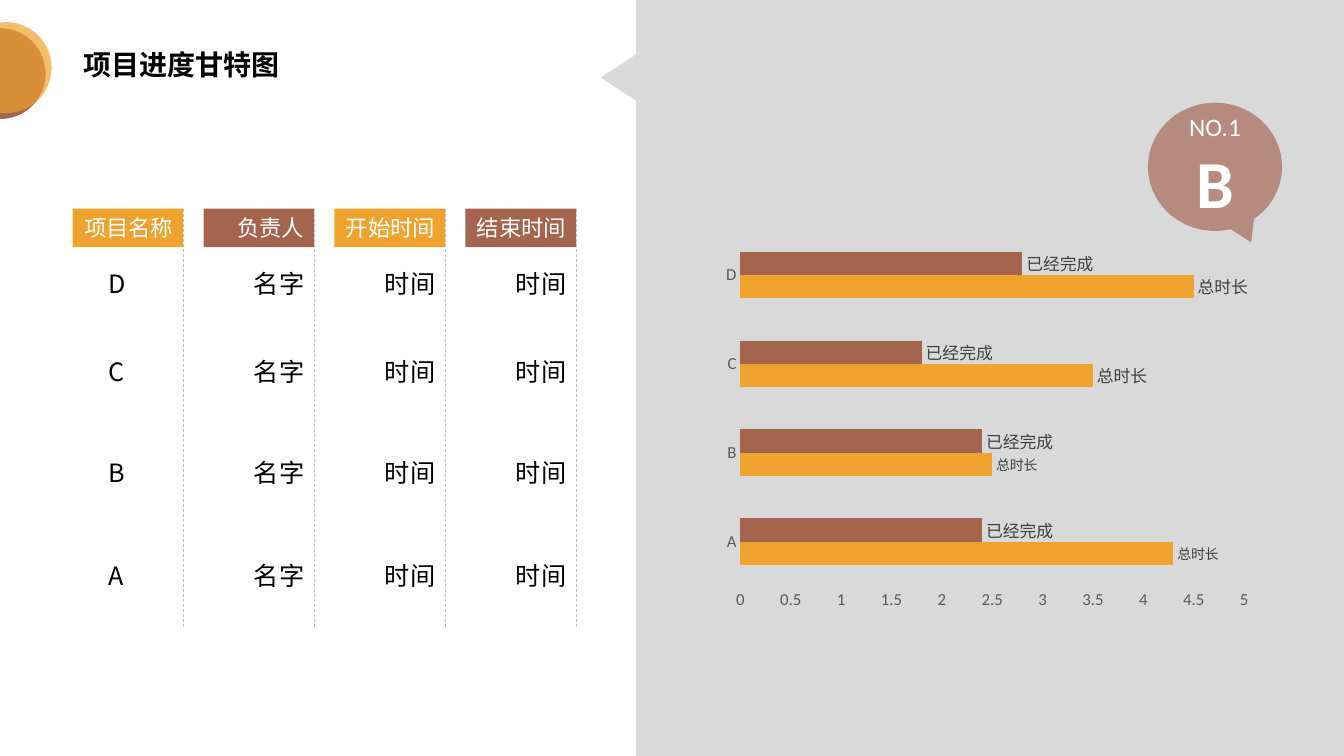
from dataclasses import dataclass

from lxml.etree import SubElement
from pptx import Presentation
from pptx.chart.data import CategoryChartData
from pptx.dml.color import RGBColor
from pptx.enum.chart import XL_CHART_TYPE, XL_LABEL_POSITION, XL_TICK_MARK
from pptx.enum.dml import MSO_LINE
from pptx.enum.shapes import MSO_CONNECTOR, MSO_SHAPE
from pptx.enum.text import MSO_ANCHOR, PP_ALIGN
from pptx.oxml import parse_xml
from pptx.oxml.ns import nsdecls, qn
from pptx.util import Cm, Pt

CJK, LATIN = "Noto Sans CJK SC", "Calibri"
ORANGE, BROWN, GREY, WHITE, BLACK = "F0A22E", "A5644E", "D9D9D9", "FFFFFF", "000000"
AXIS_TEXT, LABEL_TEXT = "595959", "404040"

COLUMN_LEFT, COLUMN_STEP, COLUMN_WIDTH = 1.83, 3.3, 2.79
HEADER_TOP, HEADER_HEIGHT, DIVIDER_BOTTOM = 5.26, 0.97, 15.82
ROW_TOPS = (6.63, 8.86, 11.4, 14.0)
CELL_INDENT, CELL_WIDTH, CELL_HEIGHT = 0.66, 2.13, 1.03


@dataclass
class Column:
    heading: str
    color: str
    cells: list[str]
    align: PP_ALIGN = PP_ALIGN.RIGHT


@dataclass
class Bars:
    name: str
    color: str
    values: list[float]
    label_sizes: list[int]


COLUMNS = [
    Column("项目名称", ORANGE, ["D", "C", "B", "A"], PP_ALIGN.LEFT),
    Column("负责人", BROWN, ["名字"] * 4),
    Column("开始时间", ORANGE, ["时间"] * 4),
    Column("结束时间", BROWN, ["时间"] * 4),
]
BARS = [
    Bars("总时长", ORANGE, [4.3, 2.5, 3.5, 4.5], [10, 10, 12, 12]),
    Bars("已经完成", BROWN, [2.4, 2.4, 1.8, 2.8], [12] * 4),
]


def rgb(color: str) -> RGBColor:
    return RGBColor.from_string(color)


def write(para, text: str, size=18, color=BLACK, font=CJK, bold=False, align=None) -> None:
    span = para.add_run()
    span.text = text
    span.font.size, span.font.bold, span.font.name = Pt(size), bold, font
    span.font.color.rgb = rgb(color)
    # East Asian glyphs take their font from a separate element.
    SubElement(span.font._element, qn("a:ea"), typeface=CJK)
    if align is not None:
        para.alignment = align


def add_filled(page, kind, left, top, width, height, color: str, opacity=100):
    shape = page.shapes.add_shape(kind, Cm(left), Cm(top), Cm(width), Cm(height))
    shape.shadow.inherit = False
    shape.line.fill.background()
    shape.fill.solid()
    shape.fill.fore_color.rgb = rgb(color)
    if opacity < 100:
        tint = shape.fill._xPr.find(".//" + qn("a:srgbClr"))
        SubElement(tint, qn("a:alpha"), val=str(opacity * 1000))
    return shape


def add_text(page, left, top, width, height, text: str, anchor=MSO_ANCHOR.TOP, **style):
    box = page.shapes.add_textbox(Cm(left), Cm(top), Cm(width), Cm(height))
    box.text_frame.word_wrap = True
    box.text_frame.vertical_anchor = anchor
    write(box.text_frame.paragraphs[0], text, **style)
    return box


def add_divider(page, x: float) -> None:
    line = page.shapes.add_connector(
        MSO_CONNECTOR.STRAIGHT, Cm(x), Cm(HEADER_TOP), Cm(x), Cm(DIVIDER_BOTTOM))
    line.line.color.rgb = rgb("BFBFBF")
    line.line.width = Pt(0.5)
    line.line.dash_style = MSO_LINE.DASH
    SubElement(line._element.spPr, qn("a:effectLst"))


def add_backdrop(page) -> None:
    add_filled(page, MSO_SHAPE.RECTANGLE, 16.03, 0, 17.84, 19.05, GREY)
    notch = add_filled(page, MSO_SHAPE.ISOSCELES_TRIANGLE, 14.99, 1.47, 1.27, 0.97, GREY)
    notch.rotation = 270
    add_filled(page, MSO_SHAPE.OVAL, -1.14, 0.71, 2.29, 2.29, BROWN)
    add_filled(page, MSO_SHAPE.OVAL, -0.99, 0.56, 2.29, 2.29, ORANGE, opacity=70)


def add_schedule(page) -> None:
    for index, column in enumerate(COLUMNS):
        left = COLUMN_LEFT + index * COLUMN_STEP
        header = add_filled(page, MSO_SHAPE.RECTANGLE, left, HEADER_TOP,
                            COLUMN_WIDTH, HEADER_HEIGHT, column.color)
        header.text_frame.vertical_anchor = MSO_ANCHOR.MIDDLE
        write(header.text_frame.paragraphs[0], column.heading,
              size=16, color=WHITE, align=PP_ALIGN.RIGHT)
        add_divider(page, left + COLUMN_WIDTH)
        for top, text in zip(ROW_TOPS, column.cells):
            add_text(page, left + CELL_INDENT, top, CELL_WIDTH, CELL_HEIGHT,
                     text, align=column.align)


def style_axis(axis) -> None:
    axis.major_tick_mark = axis.minor_tick_mark = XL_TICK_MARK.NONE
    font = axis.tick_labels.font
    font.size, font.name = Pt(12), LATIN
    font.color.rgb = rgb(AXIS_TEXT)


def place_plot(chart, x: float, y: float, width: float, height: float) -> None:
    """Fix the inner plot area, in fractions of the chart."""
    area = chart._chartSpace.chart.plotArea
    for old in area.findall(qn("c:layout")):
        area.remove(old)
    area.insert(0, parse_xml(
        f'<c:layout {nsdecls("c")}><c:manualLayout><c:layoutTarget val="inner"/>'
        '<c:xMode val="edge"/><c:yMode val="edge"/>'
        f'<c:x val="{x}"/><c:y val="{y}"/><c:w val="{width}"/><c:h val="{height}"/>'
        '</c:manualLayout></c:layout>'))


def add_progress_chart(page) -> None:
    data = CategoryChartData()
    data.categories = ["A", "B", "C", "D"]
    for bars in BARS:
        data.add_series(bars.name, bars.values)
    chart = page.shapes.add_chart(XL_CHART_TYPE.BAR_CLUSTERED, Cm(18.03), Cm(5.61),
                                  Cm(13.72), Cm(9.96), data).chart
    chart.has_legend = chart.has_title = False
    chart.font.size, chart.font.name = Pt(10), LATIN
    chart.font.color.rgb = rgb(BLACK)
    place_plot(chart, 0.046, 0.02, 0.925, 0.9)

    style_axis(chart.category_axis)
    chart.category_axis.format.line.color.rgb = rgb(GREY)
    chart.category_axis.format.line.width = Pt(0.75)
    scale = chart.value_axis
    style_axis(scale)
    scale.minimum_scale, scale.maximum_scale, scale.major_unit = 0, 5, 0.5
    scale.format.line.fill.background()
    scale.major_gridlines.format.line.color.rgb = rgb(GREY)
    scale.major_gridlines.format.line.width = Pt(0.75)

    plot = chart.plots[0]
    plot.gap_width, plot.overlap, plot.vary_by_categories = 182, 0, False
    for series, bars in zip(plot.series, BARS):
        series.format.fill.solid()
        series.format.fill.fore_color.rgb = rgb(bars.color)
        for index, size in enumerate(bars.label_sizes):
            label = series.points[index].data_label
            write(label.text_frame.paragraphs[0], bars.name,
                  size=size, color=LABEL_TEXT, font=LATIN)
            label.position = XL_LABEL_POSITION.OUTSIDE_END


def add_callout(page) -> None:
    bubble = add_filled(page, MSO_SHAPE.OVAL_CALLOUT, 28.93, 2.59, 3.38, 3.23, "B58B80")
    bubble.adjustments[0], bubble.adjustments[1] = 0.27, 0.59
    frame = bubble.text_frame
    frame.vertical_anchor = MSO_ANCHOR.MIDDLE
    style = {"color": WHITE, "font": LATIN, "align": PP_ALIGN.CENTER}
    write(frame.paragraphs[0], "NO.1", size=18, **style)
    write(frame.add_paragraph(), "B", size=48, bold=True, **style)


def main() -> None:
    deck = Presentation()
    deck.slide_width, deck.slide_height = Cm(33.87), Cm(19.05)
    page = deck.slides.add_slide(deck.slide_layouts[6])
    add_backdrop(page)
    title = add_text(page, 1.85, 0.94, 12.4, 1.47, "项目进度甘特图",
                     anchor=MSO_ANCHOR.MIDDLE, size=20, bold=True)
    title.text_frame.paragraphs[0].line_spacing = 0.9
    add_schedule(page)
    add_progress_chart(page)
    add_callout(page)
    deck.save("out.pptx")


if __name__ == "__main__":
    main()
